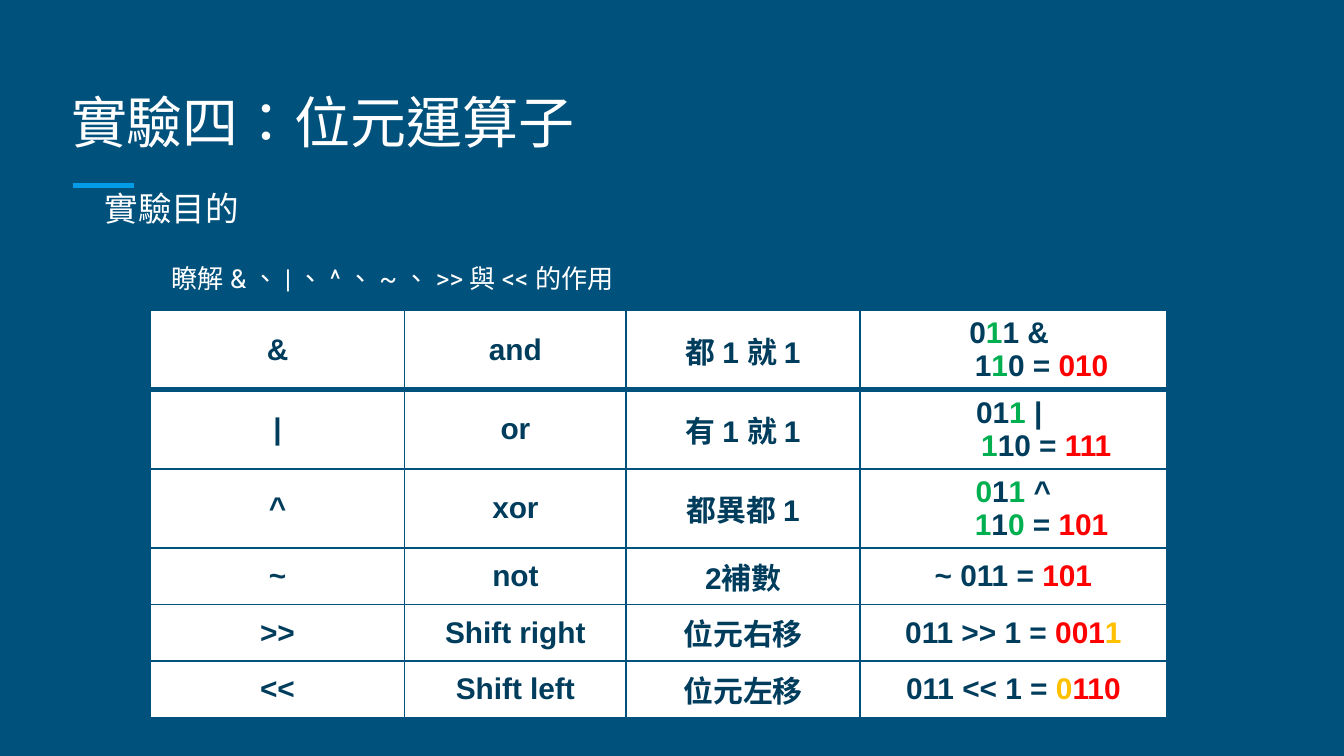
import pptx
import pptx.dml.color
import pptx.enum.lang
import pptx.enum.shapes
import pptx.enum.text
import pptx.oxml
import pptx.oxml.ns
import pptx.util
from pptx.util import Inches

COLORS = {
    "background": "00517C", "accent": "039BE5", "white": "FFFFFF", "navy": "003D5D",
    "green": "00B050", "red": "FF0000", "amber": "FFC000",
}


def rgb(name):
    return pptx.dml.color.RGBColor.from_string(COLORS[name])


def add_text_box(slide, left, top, width, height, anchor, font_name, lines):
    """Lines hold text, size, left margin, first-line indent, line spacing and space after."""
    frame = slide.shapes.add_textbox(Inches(left), Inches(top), Inches(width), Inches(height)).text_frame
    frame.word_wrap = True
    frame.vertical_anchor = anchor
    frame.margin_left = frame.margin_right = Inches(0.1)
    frame.margin_top = frame.margin_bottom = Inches(0.1)
    for index, (text, size, margin, indent, spacing, after) in enumerate(lines):
        paragraph = frame.add_paragraph() if index else frame.paragraphs[0]
        run = paragraph.add_run()
        run.text = text
        run.font.language_id = pptx.enum.lang.MSO_LANGUAGE_ID.TRADITIONAL_CHINESE
        paragraph.line_spacing = spacing
        paragraph.space_after = pptx.util.Pt(after)
        paragraph.font.name = font_name
        paragraph.font.size = pptx.util.Pt(size)
        paragraph.font.color.rgb = rgb("white")
        properties = paragraph._p.get_or_add_pPr()
        properties.set("marL", str(Inches(margin)))
        properties.set("indent", str(Inches(indent)))


presentation = pptx.Presentation()
presentation.slide_width = Inches(10)
presentation.slide_height = Inches(10) * 9 // 16
slide = presentation.slides.add_slide(presentation.slide_layouts[6])
slide.background.fill.solid()
slide.background.fill.fore_color.rgb = rgb("background")

# Accent line under the title
accent_line = slide.shapes.add_connector(
    pptx.enum.shapes.MSO_CONNECTOR.STRAIGHT, Inches(0.54), Inches(1.38), Inches(1), Inches(1.38))
accent_line.line.color.rgb = rgb("accent")
accent_line.line.width = pptx.util.Pt(3)
accent_line._element.spPr.append(pptx.oxml.parse_xml(
    f"<a:effectLst {pptx.oxml.ns.nsdecls('a')}/>"))

# Body and title
anchors = pptx.enum.text.MSO_ANCHOR
add_text_box(slide, 0.43, 1.25, 9.15, 3.37, anchors.TOP, "Roboto", [
    ("實驗目的", 18, 0.5, -0.25, 1.15, 16),
    ("瞭解 & 、 | 、 ^ 、 ~ 、 >> 與 << 的作用", 14, 1, -0.25, 1.15, 16),
])
add_text_box(slide, 0.43, 0.5, 9.15, 0.75, anchors.BOTTOM, "Roboto Slab", [
    ("實驗四：位元運算子", 30, 0, 0, 1, 0),
])

# Operators: symbol, name, rule, indent of the second operand, example lines of (text, color) runs
operators = [
    ("&", "and", "都 1 就 1", 0.42, [
        [("0", "navy"), ("1", "green"), ("1 & ", "navy")],
        [("1", "navy"), ("1", "green"), ("0 = ", "navy"), ("010", "red")]]),
    ("|", "or", "有 1 就 1", 0.49, [
        [("01", "navy"), ("1 ", "green"), ("| ", "navy")],
        [("1", "green"), ("10 = ", "navy"), ("111", "red")]]),
    ("^", "xor", "都異都 1", 0.42, [
        [("0", "green"), ("1", "navy"), ("1 ", "green"), ("^", "navy")],
        [("1", "green"), ("1", "navy"), ("0", "green"), (" = ", "navy"), ("101", "red")]]),
    ("~", "not", "2補數", 0, [[("~ 011 = ", "navy"), ("101", "red")]]),
    (">>", "Shift right", "位元右移", 0, [
        [("011 >> 1 = ", "navy"), ("001", "red"), ("1", "amber")]]),
    ("<<", "Shift left", "位元左移", 0, [
        [("011 << 1 = ", "navy"), ("0", "amber"), ("110", "red")]]),
]
column_widths = [1.89, 1.65, 1.74, 2.28]
row_heights = [0.59 if len(operator[-1]) == 2 else 0.42 for operator in operators]

# Operator table
table = slide.shapes.add_table(
    len(operators), len(column_widths), Inches(1.12), Inches(2.31),
    Inches(sum(column_widths)), Inches(sum(row_heights))).table
table.first_row = False
table.horz_banding = False
for column, width in zip(table.columns, column_widths):
    column.width = Inches(width)

for row_index, (symbol, name, rule, operand_indent, example) in enumerate(operators):
    table.rows[row_index].height = Inches(row_heights[row_index])
    contents = [[[(text, "navy")]] for text in (symbol, name, rule)] + [example]
    for column_index, lines in enumerate(contents):
        cell = table.cell(row_index, column_index)
        cell.vertical_anchor = anchors.MIDDLE
        if len(lines) == 2:
            cell.margin_top = cell.margin_bottom = Inches(0.02)
        cell.fill.solid()
        cell.fill.fore_color.rgb = rgb("white")

        # Thin borders, with a thick rule below the first row
        borders = {"lnL": 1, "lnR": 1, "lnT": 3 if row_index == 1 else 1,
                   "lnB": 3 if row_index == 0 else 1}
        for position, (side, points) in enumerate(borders.items()):
            cell._tc.get_or_add_tcPr().insert(position, pptx.oxml.parse_xml(
                f'<a:{side} {pptx.oxml.ns.nsdecls("a")} w="{pptx.util.Pt(points)}"><a:solidFill>'
                f'<a:srgbClr val="{COLORS["background"]}"/></a:solidFill></a:{side}>'))

        for line_index, runs in enumerate(lines):
            frame = cell.text_frame
            paragraph = frame.add_paragraph() if line_index else frame.paragraphs[0]
            paragraph.alignment = pptx.enum.text.PP_ALIGN.CENTER
            paragraph.font.name = "Arial"
            paragraph.font.size = pptx.util.Pt(16)
            paragraph.font.bold = True
            if line_index:
                # The second operand sits to the right of the first
                paragraph._p.get_or_add_pPr().set("marL", str(Inches(operand_indent)))
            for text, color in runs:
                run = paragraph.add_run()
                run.text = text
                run.font.color.rgb = rgb(color)

presentation.save("out.pptx")
